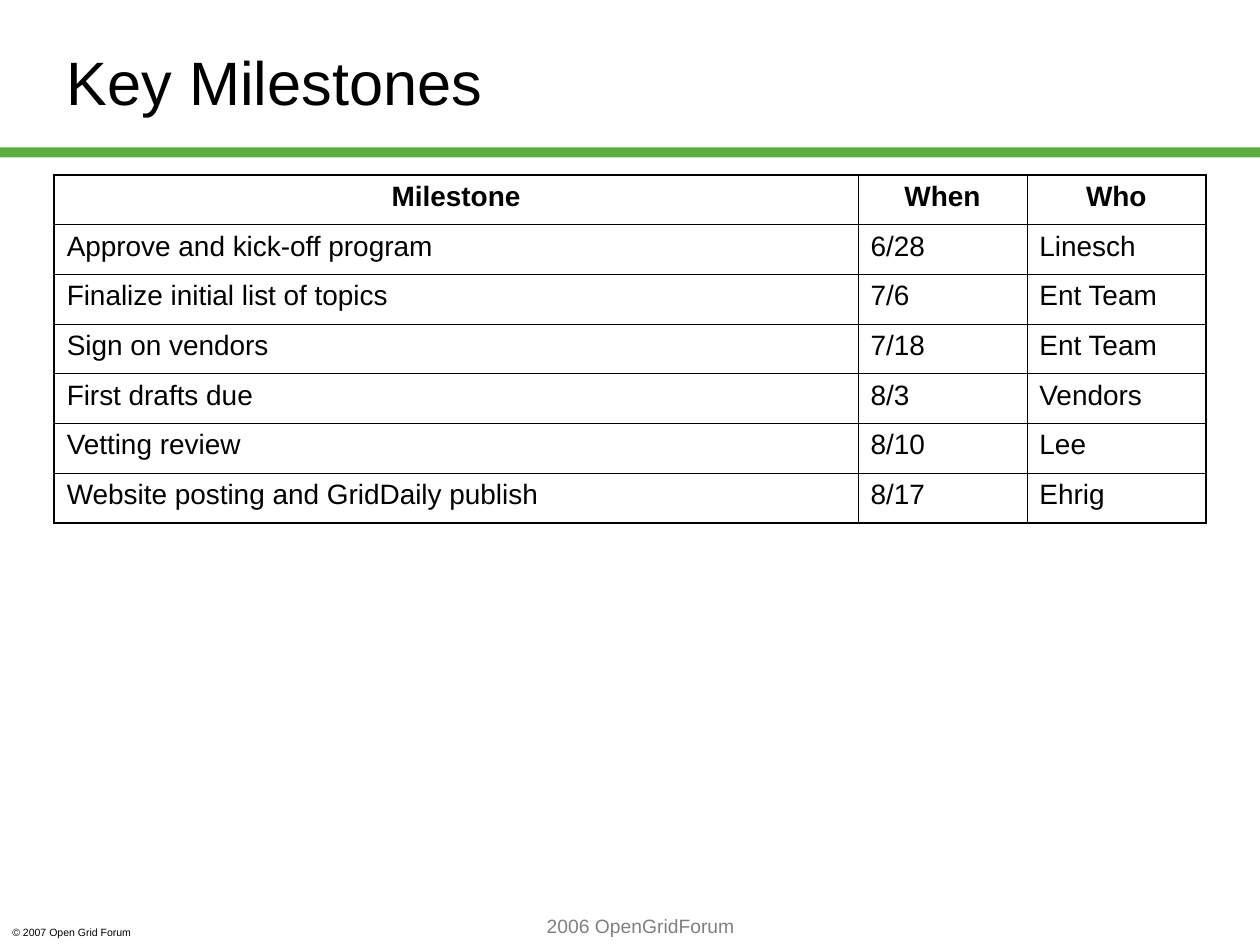
from dataclasses import dataclass
from typing import Any

from lxml import etree
from pptx import Presentation
from pptx.dml.color import RGBColor
from pptx.enum.shapes import MSO_SHAPE
from pptx.enum.text import MSO_ANCHOR, MSO_AUTO_SIZE, PP_ALIGN
from pptx.oxml.ns import qn
from pptx.util import Inches, Pt

RECTANGLE = MSO_SHAPE.RECTANGLE
TOP, MIDDLE = MSO_ANCHOR.TOP, MSO_ANCHOR.MIDDLE
NO_AUTOFIT = MSO_AUTO_SIZE.NONE
LEFT, CENTER = PP_ALIGN.LEFT, PP_ALIGN.CENTER

COLORS = {"ink": "000000", "paper": "FFFFFF", "rule": "5DAD41", "footer": "808080"}
MILESTONES = [
    ("Milestone", "When", "Who"),
    ("Approve and kick-off program", "6/28", "Linesch"),
    ("Finalize initial list of topics", "7/6", "Ent Team"),
    ("Sign on vendors", "7/18", "Ent Team"),
    ("First drafts due", "8/3", "Vendors"),
    ("Vetting review", "8/10", "Lee"),
    ("Website posting and GridDaily publish", "8/17", "Ehrig"),
]


@dataclass
class SlideBuilder:
    """Draws styled elements on a slide grid of 100 columns by 75 rows."""

    slide: Any
    font: str = "Arial"
    unit: int = Inches(0.1)
    outer_line: float = 1.08
    inner_line: float = 0.45

    def place(self, *box):
        """Turn grid positions into lengths."""
        return [round(value * self.unit) for value in box]

    def set_text(self, frame, text, size, color="ink", align=LEFT, bold=False):
        """Set one paragraph of text and format it."""
        frame.text = text
        paragraph = frame.paragraphs[0]
        paragraph.alignment = align
        paragraph.space_before = Pt(0)
        for run in paragraph.runs:
            run.font.name = self.font
            run.font.size = Pt(size)
            run.font.bold = bold
            run.font.color.rgb = RGBColor.from_string(COLORS[color])

    def title(self, text, box, size):
        """Move and fill the title placeholder."""
        shape = self.slide.shapes.title
        shape.left, shape.top, shape.width, shape.height = self.place(*box)
        frame = shape.text_frame
        frame.auto_size = NO_AUTOFIT
        frame.vertical_anchor = MIDDLE
        self.set_text(frame, text, size)

    def text(self, text, box, size, color="ink", align=LEFT):
        """Add a wrapping text box."""
        frame = self.slide.shapes.add_textbox(*self.place(*box)).text_frame
        frame.word_wrap = True
        frame.vertical_anchor = TOP
        self.set_text(frame, text, size, color, align)

    def bar(self, box, color):
        """Add a plain filled bar."""
        shape = self.slide.shapes.add_shape(RECTANGLE, *self.place(*box))
        shape.shadow.inherit = False
        shape.fill.solid()
        shape.fill.fore_color.rgb = RGBColor.from_string(COLORS[color])
        shape.line.fill.background()

    def border(self, side, width):
        """Make one solid border for a table cell."""
        line = etree.Element(qn(f"a:ln{side}"), w=str(Pt(width)))
        fill = etree.SubElement(line, qn("a:solidFill"))
        etree.SubElement(fill, qn("a:srgbClr"), val=COLORS["ink"])
        return line

    def table(self, records, box, widths, size):
        """Add a ruled table with a bold centred heading row."""
        last_row, last_column = len(records) - 1, len(widths) - 1
        table = self.slide.shapes.add_table(
            len(records), len(widths), *self.place(*box)
        ).table
        for column, width in zip(table.columns, self.place(*widths)):
            column.width = width
        for row_index, record in enumerate(records):
            heading = row_index == 0
            for column_index, text in enumerate(record):
                cell = table.cell(row_index, column_index)
                align = CENTER if heading else LEFT
                self.set_text(cell.text_frame, text, size, align=align, bold=heading)
                cell.fill.solid()
                cell.fill.fore_color.rgb = RGBColor.from_string(COLORS["paper"])
                edges = {
                    "L": column_index == 0,
                    "R": column_index == last_column,
                    "T": heading,
                    "B": row_index == last_row,
                }
                properties = cell._tc.get_or_add_tcPr()
                for position, (side, outer) in enumerate(edges.items()):
                    width = self.outer_line if outer else self.inner_line
                    properties.insert(position, self.border(side, width))


def main():
    """Build the milestones slide."""
    presentation = Presentation()
    presentation.slide_width, presentation.slide_height = Inches(10), Inches(7.5)
    builder = SlideBuilder(presentation.slides.add_slide(presentation.slide_layouts[5]))
    builder.bar((0, 11.7, 100, 0.8), "rule")
    builder.text("© 2007 Open Grid Forum", (0, 73, 15, 2), 6)
    builder.title("Key Milestones", (4.3, 1.3, 72.4, 10.2), 35)
    builder.table(MILESTONES, (4.3, 13.9, 91.4, 27.6), (63.8, 13.4, 14.2), 16)
    builder.text("2006 OpenGridForum", (21.7, 72.1, 58.3, 2.8), 11, "footer", CENTER)
    presentation.save("out.pptx")


if __name__ == "__main__":
    main()
